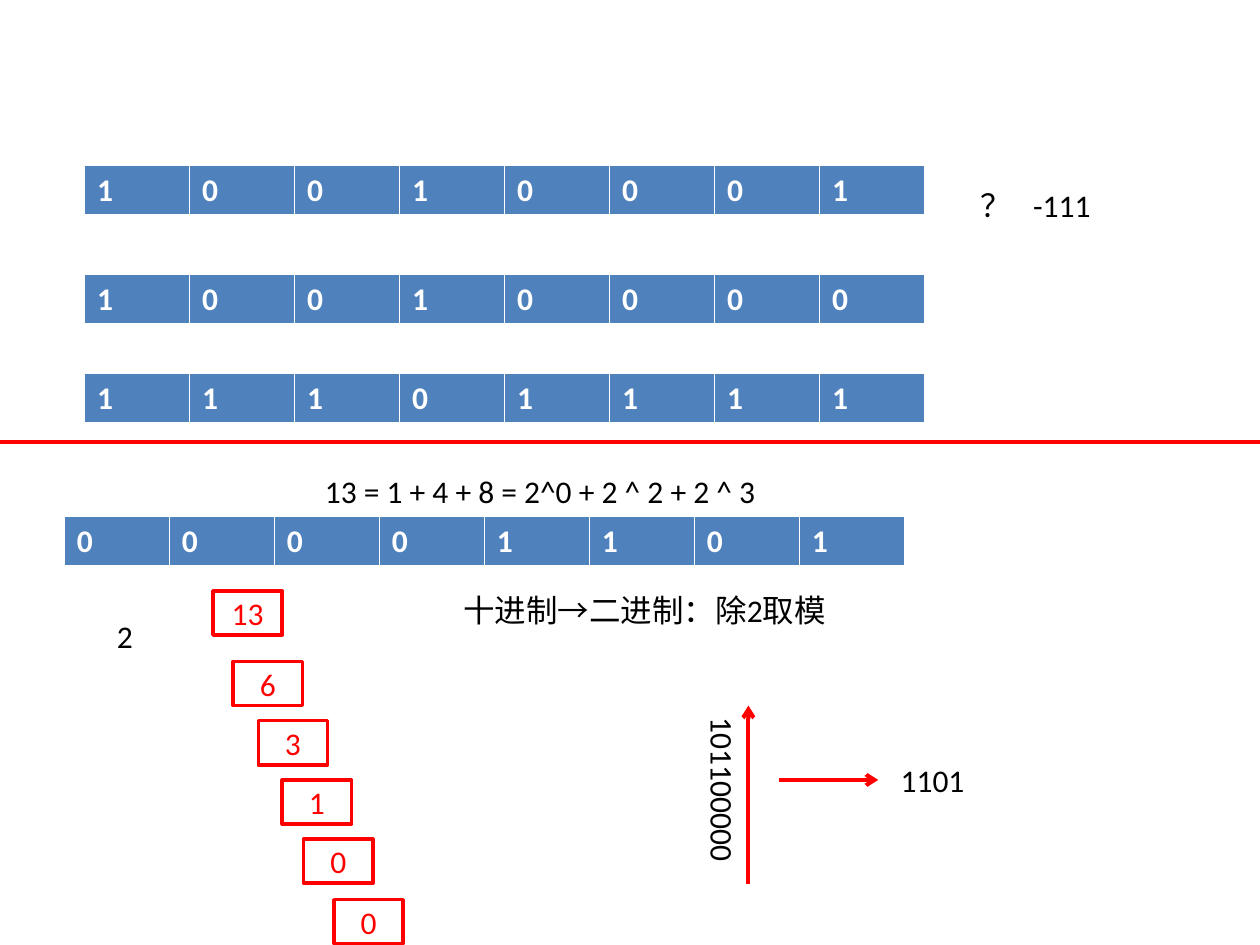
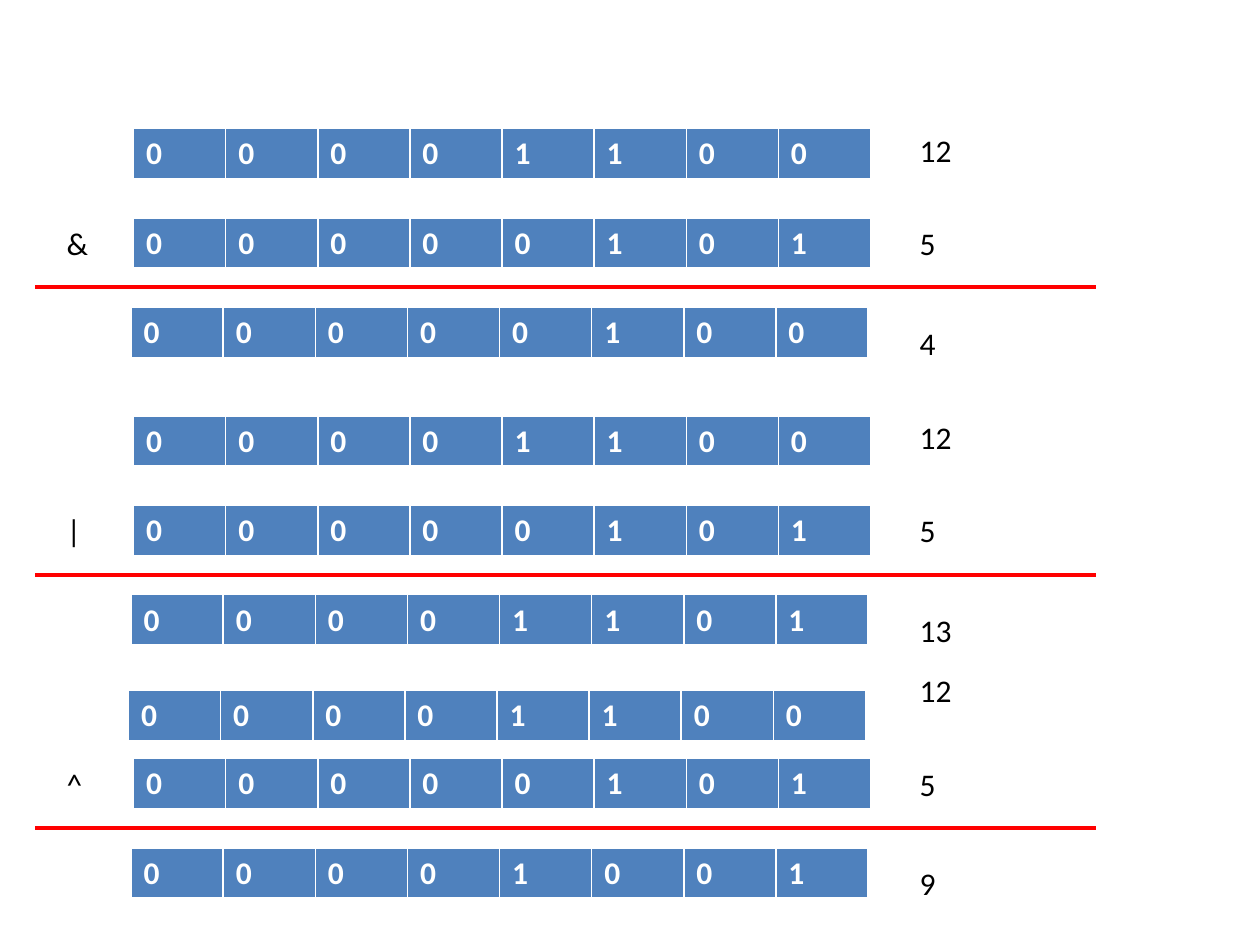
import pptx
import pptx.dml.color
import pptx.enum.shapes
import pptx.enum.text
import pptx.oxml.ns
import pptx.oxml.xmlchemy
import pptx.util

COLORS = {"cell": "4F81BD", "accent": "FF0000", "text": "000000", "white": "FFFFFF"}
FONT = "Calibri"
FONT_SIZE = 18
WIDTH, HEIGHT = 10, 7.5
COLUMNS, ROWS = 100, 75
BITS = 8
BORDERS = {"lnL": 1, "lnR": 1, "lnT": 1, "lnB": 3}


def rgb(name):
    return pptx.dml.color.RGBColor.from_string(COLORS[name])


def add_xml(parent, tag, **attributes):
    child = pptx.oxml.xmlchemy.OxmlElement(tag)
    for key, value in attributes.items():
        child.set(key, str(value))
    parent.append(child)
    return child


class Board:
    def __init__(self):
        self.deck = pptx.Presentation()
        self.deck.slide_width = pptx.util.Inches(WIDTH)
        self.deck.slide_height = pptx.util.Inches(HEIGHT)
        self.slide = None

    def new_slide(self):
        self.slide = self.deck.slides.add_slide(self.deck.slide_layouts[6])

    def x(self, columns):
        return round(self.deck.slide_width * columns / COLUMNS)

    def y(self, rows):
        return round(self.deck.slide_height * rows / ROWS)

    def area(self, column, row, columns, rows):
        return self.x(column), self.y(row), self.x(columns), self.y(rows)

    def style(self, paragraph, color, bold=False):
        for run in paragraph.runs:
            run.font.name = FONT
            run.font.size = pptx.util.Pt(FONT_SIZE)
            run.font.bold = bold
            run.font.color.rgb = rgb(color)

    def label(self, text, column, row, columns, rows=4, vertical=False, tab=None):
        frame = self.slide.shapes.add_textbox(*self.area(column, row, columns, rows)).text_frame
        frame.word_wrap = True
        frame.auto_size = pptx.enum.text.MSO_AUTO_SIZE.SHAPE_TO_FIT_TEXT
        if vertical:
            frame._txBody.bodyPr.set("vert", "eaVert")
        frame.text = text
        paragraph = frame.paragraphs[0]
        if tab:
            stops = add_xml(paragraph._p.get_or_add_pPr(), "a:tabLst")
            add_xml(stops, "a:tab", pos=self.x(tab), algn="l")
        self.style(paragraph, "text")

    def byte(self, bits, column, row, columns, rows):
        table = self.slide.shapes.add_table(1, BITS, *self.area(column, row, columns, rows)).table
        table.horz_banding = False
        for index, bit in enumerate(bits):
            table.columns[index].width = self.x(columns / BITS)
            cell = table.cell(0, index)
            cell.text = bit
            self.style(cell.text_frame.paragraphs[0], "white", bold=True)
            properties = cell._tc.get_or_add_tcPr()
            for side, width in BORDERS.items():
                border = add_xml(properties, f"a:{side}", w=pptx.util.Pt(width))
                add_xml(add_xml(border, "a:solidFill"), "a:srgbClr", val=COLORS["white"])
            cell.fill.solid()
            cell.fill.fore_color.rgb = rgb("cell")

    def line(self, start, end, arrow=False):
        connector = self.slide.shapes.add_connector(
            pptx.enum.shapes.MSO_CONNECTOR.STRAIGHT,
            self.x(start[0]), self.y(start[1]), self.x(end[0]), self.y(end[1]))
        connector.line.color.rgb = rgb("accent")
        connector.line.width = pptx.util.Pt(2.25)
        properties = connector._element.spPr
        if arrow:
            add_xml(properties.find(pptx.oxml.ns.qn("a:ln")), "a:tailEnd", type="arrow")
        add_xml(properties, "a:effectLst")

    def quotient(self, number, column, row):
        box = self.slide.shapes.add_shape(
            pptx.enum.shapes.MSO_SHAPE.RECTANGLE, *self.area(column, row, 5.5, 3.5))
        box.shadow.inherit = False
        box.fill.background()
        box.line.color.rgb = rgb("accent")
        box.line.width = pptx.util.Pt(2)
        frame = box.text_frame
        frame.vertical_anchor = pptx.enum.text.MSO_ANCHOR.MIDDLE
        frame.text = str(number)
        frame.paragraphs[0].alignment = pptx.enum.text.PP_ALIGN.CENTER
        self.style(frame.paragraphs[0], "accent")


def conversion_slide(board):
    board.new_slide()
    for bits, column, row in [("10010001", 6.7, 13.1), ("10010000", 6.7, 21.8),
                              ("11101111", 6.7, 29.6), (f"{13:08b}", 5.1, 41)]:
        board.byte(bits, column, row, 66.7, 4)
    board.label("？\t-111", 76.8, 14.3, 14.9, tab=4.2)
    board.line((0, 35.1), (COLUMNS, 35.1))
    board.label("13 = 1 + 4 + 8 = 2^0 + 2 ^ 2 + 2 ^ 3", 24.8, 37, 41.7)
    board.label("十进制→二进制：除2取模", 35.8, 46.4, 41)
    board.label("2", 8.3, 48.5, 3.9)
    number = 13
    for column, row in [(16.9, 46.9), (18.5, 52.5), (20.5, 57.2),
                        (22.4, 61.9), (24.1, 66.6), (26.5, 71.4)]:
        board.quotient(number, column, row)
        number //= 2
    board.label("101100000", 54.4, 56, 5, 15.3, vertical=True)
    board.line((59.4, 70.2), (59.4, 56), arrow=True)
    board.line((61.8, 61.9), (69.7, 61.9), arrow=True)
    board.label("1101", 70.5, 59.9, 12.6)


def bitwise_slide(board):
    board.new_slide()
    left, right = 12, 5
    operations = [("&", left & right, 10.2, 10.6, 10.2),
                  ("|", left | right, 33, 10.6, 33),
                  ("^", left ^ right, 53.1, 10.2, 54.8)]
    for sign, result, top, first_column, first_row in operations:
        board.byte(f"{left:08b}", first_column, first_row, 58.5, 4.1)
        board.byte(f"{right:08b}", 10.6, top + 7.1, 58.5, 4.1)
        board.byte(f"{result:08b}", 10.4, top + 14.2, 58.5, 4.1)
        board.line((2.8, top + 12.6), (87, top + 12.6))
        board.label(sign, 4.3, top + 7.1, 5.5)
        for value, offset in [(left, -0.3), (right, 7.1), (result, 15)]:
            board.label(str(value), 72, top + offset, 7.1)


def main():
    board = Board()
    conversion_slide(board)
    bitwise_slide(board)
    board.deck.save("out.pptx")


if __name__ == "__main__":
    main()
